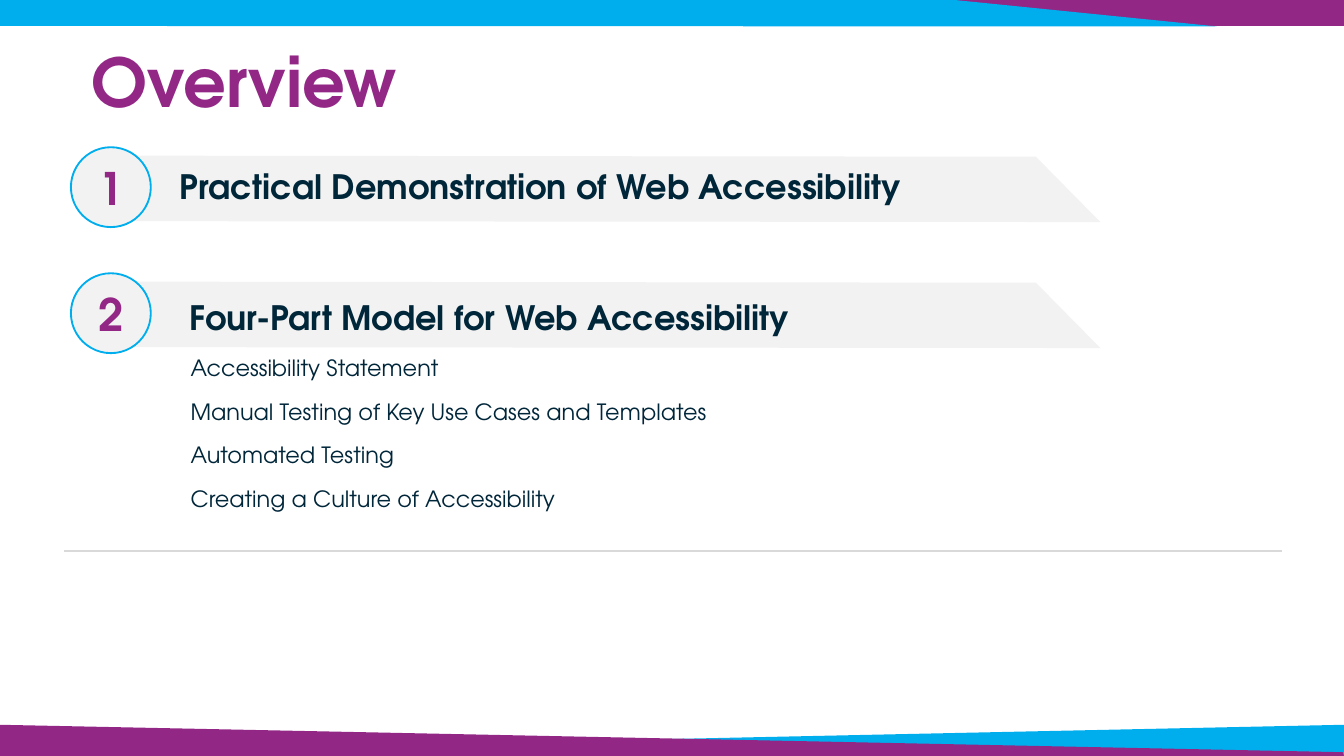
from lxml.etree import SubElement
from pptx import Presentation
from pptx.dml.color import RGBColor
from pptx.enum.shapes import MSO_CONNECTOR, MSO_SHAPE
from pptx.enum.text import MSO_ANCHOR, PP_ALIGN
from pptx.oxml.ns import qn
from pptx.util import Pt

PURPLE = RGBColor(0x93, 0x27, 0x86)
BLUE = RGBColor(0x00, 0xAE, 0xEE)
NAVY = RGBColor(0x00, 0x26, 0x3A)
PALE = RGBColor(0xF2, 0xF2, 0xF2)
GRAY = RGBColor(0xD9, 0xD9, 0xD9)
FONT = "TeX Gyre Adventor"
WIDE, HIGH = 720, 405

TITLE = "Overview"
PARTS = [
    {"head": "Practical Demonstration of Web Accessibility",
     "box": (89.3, 87.8, 508, 26.6), "items": []},
    {"head": "Four-Part Model for Web Accessibility",
     "box": (94.3, 157.7, 497, 121.7),
     "items": ["Accessibility Statement",
               "Manual Testing of Key Use Cases and Templates",
               "Automated Testing",
               "Creating a Culture of Accessibility"]},
]
TRIM = [
    (PURPLE, [(501, 0), (WIDE, 0), (WIDE, 14.2), (501, 14.2)]),
    (BLUE, [(0.7, 403.5), (WIDE, 388.3), (WIDE, HIGH), (0, HIGH)]),
    (BLUE, [(0, 0), (511.5, 0), (652, 14.2), (0, 13.9)]),
    (PURPLE, [(719.3, 403), (0, 388.3), (0, HIGH), (WIDE, HIGH)]),
]
BAND = [(47, 83.4), (555, 84), (589.5, 119), (47, 118.5)]
RING = (38, 78.9, 42.8, 42.8)
STEP = 67.5

deck = Presentation()
deck.slide_width, deck.slide_height = Pt(WIDE), Pt(HIGH)
slide = deck.slides.add_slide(deck.slide_layouts[6])
shapes = slide.shapes


def add_poly(points, color):
    spots = [(Pt(x), Pt(y)) for x, y in points]
    pen = shapes.build_freeform(*spots[0])
    pen.add_line_segments(spots[1:], close=True)
    shape = pen.convert_to_shape()
    shape.shadow.inherit = False
    shape.fill.solid()
    shape.fill.fore_color.rgb = color
    shape.line.fill.background()


def set_font(para, size, color, bold):
    for run in para.runs:
        font = run.font
        font.name, font.size, font.bold = FONT, Pt(size), bold
        font.color.rgb = color


def add_text(box, lines):
    frame = shapes.add_textbox(*map(Pt, box)).text_frame
    frame.word_wrap = True
    frame.text = "\n".join(lines)
    frame.paragraphs[0].line_spacing = 0.9
    return frame


def add_ring(top, label):
    left, _, width, height = RING
    ring = shapes.add_shape(MSO_SHAPE.FLOWCHART_CONNECTOR,
                            Pt(left), Pt(top), Pt(width), Pt(height))
    ring.shadow.inherit = False
    ring.fill.solid()
    ring.fill.fore_color.rgb = PALE
    ring.line.color.rgb = BLUE
    ring.line.width = Pt(1)
    frame = ring.text_frame
    frame.text = label
    frame.vertical_anchor = MSO_ANCHOR.MIDDLE
    para = frame.paragraphs[0]
    para.alignment = PP_ALIGN.CENTER
    set_font(para, 24, PURPLE, True)


for color, points in TRIM:
    add_poly(points, color)

frame = add_text((41.8, 22.3, 519, 46.8), [TITLE])
frame.vertical_anchor = MSO_ANCHOR.MIDDLE
set_font(frame.paragraphs[0], 36, PURPLE, True)

for i, part in enumerate(PARTS):
    drop = i * STEP
    add_poly([(x, y + drop) for x, y in BAND], PALE)
    add_ring(RING[1] + drop, str(i + 1))

for part in PARTS:
    frame = add_text(part["box"], [part["head"], *part["items"]])
    head, *items = frame.paragraphs
    set_font(head, 18, NAVY, True)
    for para in items:
        para.level = 1
        para.space_before = Pt(9)
        props = para._p.get_or_add_pPr()
        props.set("marL", str(Pt(0.7)))
        props.set("indent", "0")
        set_font(para, 12, NAVY, False)

rule = shapes.add_connector(MSO_CONNECTOR.STRAIGHT,
                            Pt(34.5), Pt(295.2), Pt(686.8), Pt(295.2))
rule.line.color.rgb = GRAY
rule.line.width = Pt(1)
SubElement(rule._element.spPr, qn("a:effectLst"))

deck.save("out.pptx")
